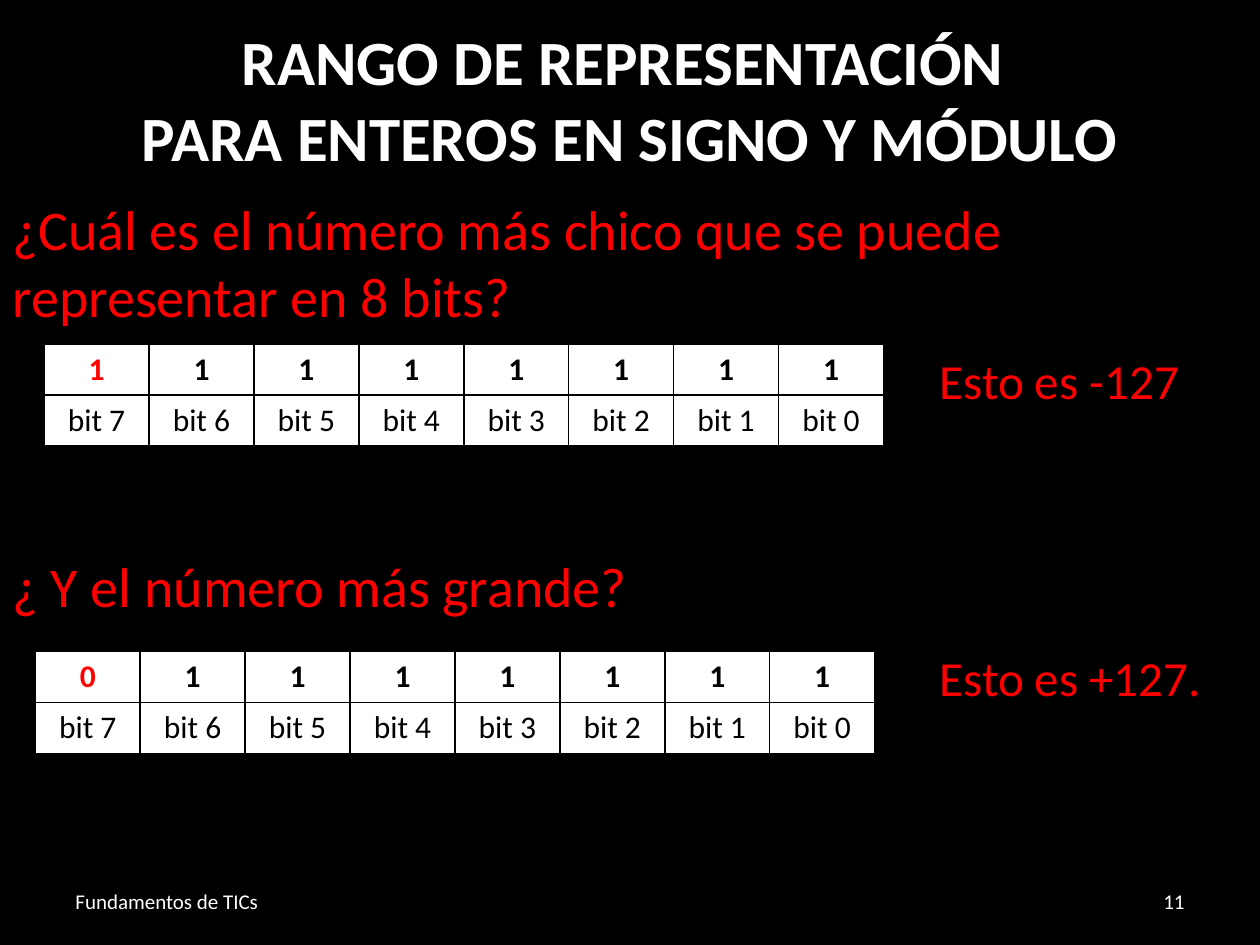
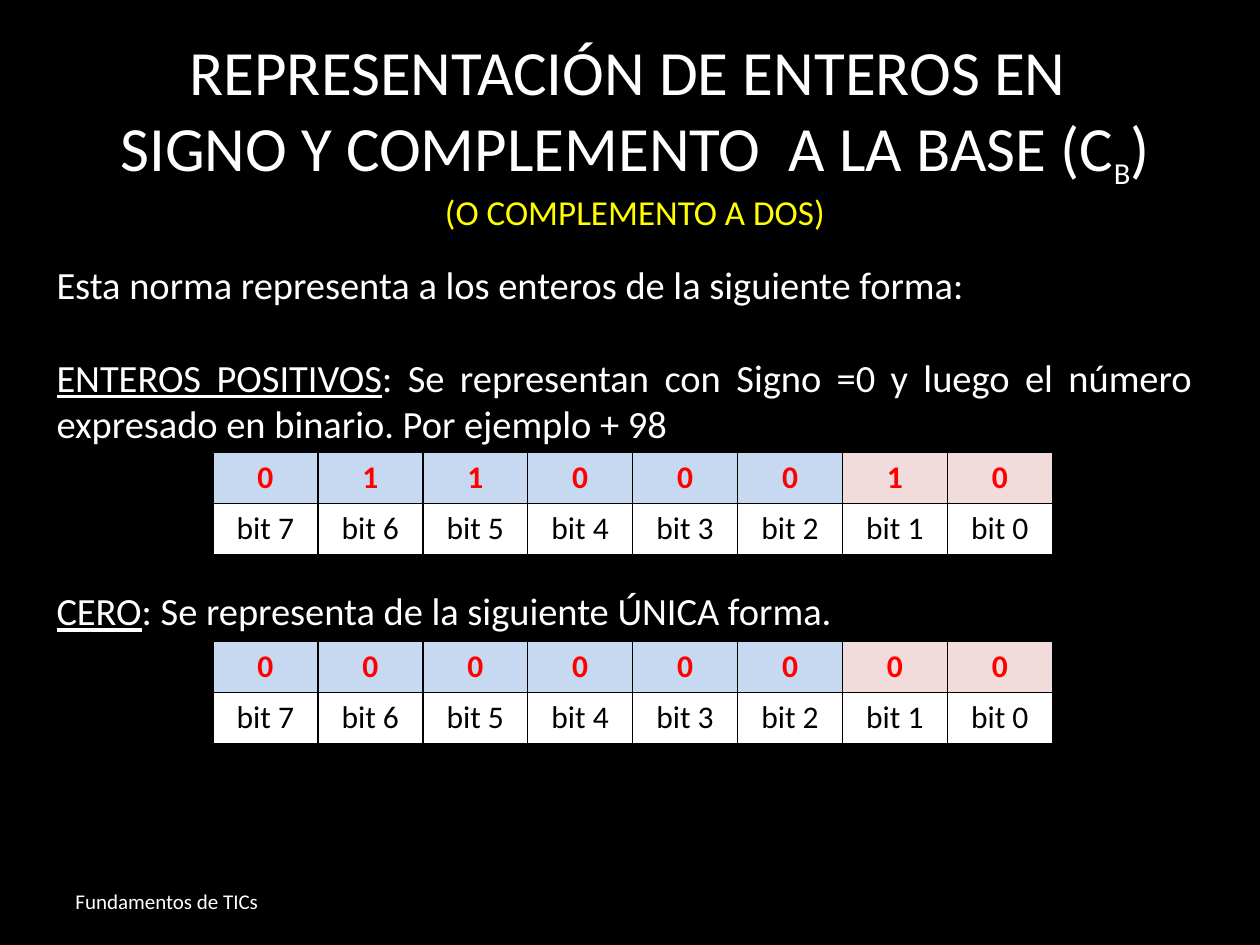
import lxml.etree
import pptx
import pptx.dml.color
import pptx.enum.text
import pptx.oxml.ns
import pptx.util

Color = pptx.dml.color.RGBColor
BLACK = Color(0x00, 0x00, 0x00)
WHITE = Color(0xFF, 0xFF, 0xFF)
RED = Color(0xFF, 0x00, 0x00)
YELLOW = Color(0xFF, 0xFF, 0x00)
BLUE = Color(0xC6, 0xD9, 0xF1)
PINK = Color(0xF2, 0xDC, 0xDB)

Align = pptx.enum.text.PP_ALIGN
Anchor = pptx.enum.text.MSO_ANCHOR
COLS, ROWS = 100, 75
BITS = 8
BIT_WIDTH, BIT_HEIGHT = 8.33, 4.05

TITLE = {"size": 36}
STRONG = {"size": 36, "bold": True}
ASK = {"size": 32, "ink": RED}
REPLY = {"size": 28, "ink": RED}
BODY = {"size": 22}
TERM = {"size": 22, "underline": True}
SMALL = {"size": 12}
DIGIT = {"size": 18, "bold": True}
LABEL = {"size": 18, "ink": BLACK}


class Deck:
    """Holds the shared style and the current slide, laid out on a grid."""

    def __init__(self):
        self.show = pptx.Presentation()
        self.show.slide_width = pptx.util.Inches(10)
        self.show.slide_height = pptx.util.Inches(7.5)

    def place(self, left, top, width, height):
        col = self.show.slide_width / COLS
        row = self.show.slide_height / ROWS
        return [round(n) for n in (left * col, top * row, width * col, height * row)]

    def page(self, number=None):
        self.slide = self.show.slides.add_slide(self.show.slide_layouts[6])
        fill = self.slide.background.fill
        fill.solid()
        fill.fore_color.rgb = BLACK
        foot = {"vertical_anchor": Anchor.MIDDLE}
        self.text((5, 69.5, 26.1, 4), [([("Fundamentos de TICs", SMALL)], {})], foot)
        if number:
            self.text((71.7, 69.5, 23.3, 4),
                      [([(number, SMALL)], {"alignment": Align.RIGHT})], foot)

    def line(self, para, runs, form):
        for key, value in form.items():
            setattr(para, key, value)
        for words, style in runs:
            run = para.add_run()
            run.text = words
            look = {"name": "Calibri", "bold": False, "ink": WHITE, **style}
            run.font.color.rgb = look.pop("ink")
            run.font.size = pptx.util.Pt(look.pop("size"))
            if "base" in look:
                run._r.get_or_add_rPr().set("baseline", look.pop("base"))
            for key, value in look.items():
                setattr(run.font, key, value)

    def text(self, spot, paras, form=None):
        frame = self.slide.shapes.add_textbox(*self.place(*spot)).text_frame
        for key, value in {"word_wrap": True, **(form or {})}.items():
            setattr(frame, key, value)
        for i, (runs, shape) in enumerate(paras):
            para = frame.add_paragraph() if i else frame.paragraphs[0]
            self.line(para, runs, shape)

    def border(self, cell):
        props = cell._tc.get_or_add_tcPr()
        for side in "LRTB":
            edge = lxml.etree.SubElement(
                props, pptx.oxml.ns.qn(f"a:ln{side}"), w=str(pptx.util.Pt(1)))
            solid = lxml.etree.SubElement(edge, pptx.oxml.ns.qn("a:solidFill"))
            lxml.etree.SubElement(solid, pptx.oxml.ns.qn("a:srgbClr"), val=str(BLACK))

    def byte(self, left, top, digits, inks, fills):
        spot = self.place(left, top, BITS * BIT_WIDTH, 2 * BIT_HEIGHT)
        table = self.slide.shapes.add_table(2, BITS, *spot).table
        table.first_row = table.horz_banding = False
        for i, digit in enumerate(digits):
            pairs = ((digit, {**DIGIT, "ink": inks[i]}, fills[i]),
                     (f"bit {BITS - 1 - i}", LABEL, WHITE))
            for row, (words, style, fill) in enumerate(pairs):
                cell = table.cell(row, i)
                self.border(cell)
                cell.fill.solid()
                cell.fill.fore_color.rgb = fill
                self.line(cell.text_frame.paragraphs[0], [(words, style)],
                          {"alignment": Align.CENTER})


def limits(deck):
    """Build the slide on the range of signed integers."""
    deck.page("11")
    mid = {"alignment": Align.CENTER}
    deck.text((0, 1.3, 100, 60), [
        ([("RANGO DE REPRESENTACIÓN ", STRONG)], mid),
        ([("PARA ENTEROS EN SIGNO Y MÓDULO", STRONG)], mid),
        ([("¿Cuál es el número más chico que se puede representar en 8 bits?", ASK)],
         {"space_before": pptx.util.Pt(12)}),
        ([("¿ Y el número más grande?", ASK)], {"space_before": pptx.util.Pt(127)}),
    ])
    inks = [RED] + [BLACK] * (BITS - 1)
    fills = [WHITE] * BITS
    for left, top, digits in ((3.5, 27.3, "11111111"), (2.8, 51.7, "01111111")):
        deck.byte(left, top, digits, inks, fills)
    for top, words in ((27.3, "Esto es -127"), (50.9, "Esto es +127.")):
        deck.text((73.6, top, 23, 8.8), [([(words, REPLY)], {})], {"word_wrap": False})


def base(deck):
    """Build the slide on two's complement."""
    deck.page()
    mid = {"alignment": Align.CENTER}
    just = {"alignment": Align.JUSTIFY}
    deck.text((5.1, 2.1, 90.6, 17.5), [
        ([("REPRESENTACIÓN DE ENTEROS EN ", TITLE)], mid),
        ([("SIGNO Y COMPLEMENTO  A LA BASE (C", TITLE),
          ("B", {"size": 30, "base": "-25000"}), (")", TITLE)], mid),
        ([("(O COMPLEMENTO A DOS)", {"size": 20, "ink": YELLOW})], mid),
    ])
    deck.text((3.5, 20.2, 92.1, 41.7), [
        ([("Esta norma representa a los enteros de la siguiente forma:", BODY)], just),
        ([("ENTEROS POSITIVOS", TERM),
          (": Se representan con Signo =0 y luego el número expresado en binario. "
           "Por ejemplo + 98", BODY)], {**just, "space_before": pptx.util.Pt(27)}),
        ([("CERO", TERM), (": Se representa de la siguiente ÚNICA forma.", BODY)],
         {**just, "space_before": pptx.util.Pt(80.5)}),
    ])
    fills = [BLUE] * 6 + [PINK] * 2
    for top, digits in ((35.9, "01100010"), (50.9, "00000000")):
        deck.byte(16.9, top, digits, [RED] * BITS, fills)


def main():
    """Build both slides and save them."""
    deck = Deck()
    limits(deck)
    base(deck)
    deck.show.save("out.pptx")


if __name__ == "__main__":
    main()
